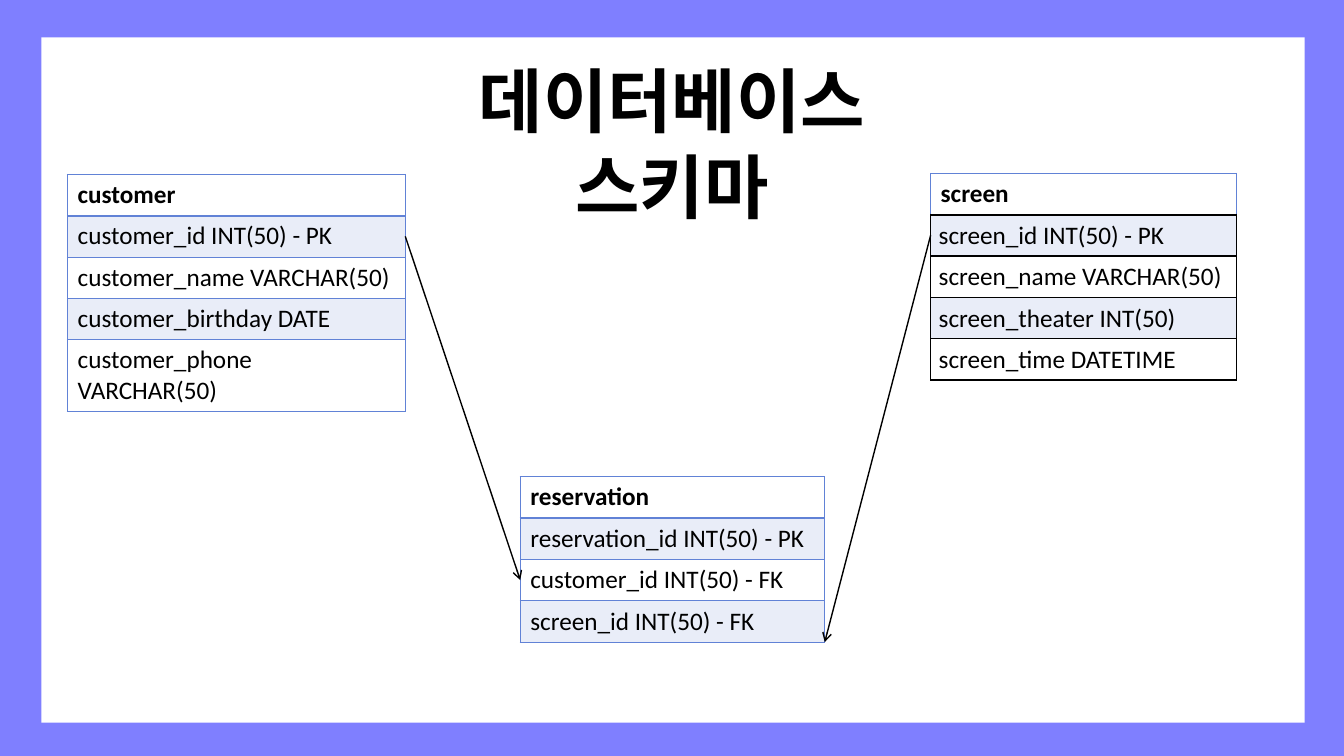
from dataclasses import dataclass

from lxml.etree import SubElement
from pptx import Presentation
from pptx.dml.color import RGBColor
from pptx.enum.shapes import MSO_CONNECTOR, MSO_SHAPE
from pptx.enum.text import MSO_ANCHOR, PP_ALIGN
from pptx.oxml.ns import qn
from pptx.util import Inches, Pt

BLUE = RGBColor(0x00, 0x00, 0xFF)
WHITE = RGBColor(0xFF, 0xFF, 0xFF)
BLACK = RGBColor(0x00, 0x00, 0x00)
RULE_BLUE = RGBColor(0x61, 0x82, 0xD6)
BAND_BLUE = RGBColor(0x94, 0xA5, 0xDF)
TITLE_FONT = "Noto Sans CJK KR"
ROW_HEIGHT = 0.41


@dataclass
class Entity:
    """A database table; row numbers count from its header."""
    name: str
    fields: list[str]
    left: float
    top: float
    width: float
    rule_color: RGBColor = RULE_BLUE
    inner_rule: float = 0.79
    spaced_from: int = 99
    centred: bool = False

    @property
    def right(self) -> float:
        """Right edge in inches."""
        return self.left + self.width

    def row_y(self, rows: float) -> float:
        """Height in inches of a point that many rows below the top."""
        return self.top + rows * ROW_HEIGHT


CUSTOMER = Entity("customer", ["customer_id INT(50) - PK", "customer_name VARCHAR(50)",
                               "customer_birthday DATE", "customer_phone VARCHAR(50)"],
                  0.67, 1.73, 3.35)
SCREEN = Entity("screen", ["screen_id INT(50) - PK", "screen_name VARCHAR(50)",
                           "screen_theater INT(50)", "screen_time DATETIME"],
                9.23, 1.72, 3.03, BLACK, 1, spaced_from=1, centred=True)
RESERVATION = Entity("reservation", ["reservation_id INT(50) - PK", "customer_id INT(50) - FK",
                                     "screen_id INT(50) - FK"],
                     5.16, 4.73, 3.02, spaced_from=3)


def set_alpha(properties, percent: int) -> None:
    """Make the solid fill of a properties element translucent."""
    color = properties.find(f"{qn('a:solidFill')}/{qn('a:srgbClr')}")
    SubElement(color, qn("a:alpha"), val=str(percent * 1000))


def add_panel(group, left: float, top: float, width: float, height: float, color: RGBColor):
    """Add a plain filled rectangle to the backdrop."""
    panel = group.shapes.add_shape(MSO_SHAPE.RECTANGLE, Inches(left), Inches(top),
                                   Inches(width), Inches(height))
    panel.shadow.inherit = False
    panel.fill.solid()
    panel.fill.fore_color.rgb = color
    panel.line.fill.background()
    return panel


def add_borders(properties, color: RGBColor, top: float, bottom: float) -> None:
    """Draw the four cell borders, with 1 pt sides."""
    for side, points in (("L", 1), ("R", 1), ("T", top), ("B", bottom)):
        border = SubElement(properties, qn(f"a:ln{side}"), w=str(Pt(points)))
        fill = SubElement(border, qn("a:solidFill"))
        SubElement(fill, qn("a:srgbClr"), val=str(color))


def add_entity(slide, entity: Entity) -> None:
    """Add one database table with its header and banded fields."""
    labels = [entity.name, *entity.fields]
    table = slide.shapes.add_table(len(labels), 1, Inches(entity.left), Inches(entity.top),
                                   Inches(entity.width), Inches(ROW_HEIGHT * len(labels))).table
    table.first_row = table.horz_banding = False
    for row, label in enumerate(labels):
        table.rows[row].height = Inches(ROW_HEIGHT)
        cell = table.cell(row, 0)
        cell.text = label
        properties = cell._tc.get_or_add_tcPr()
        is_header, is_last = row == 0, row == len(labels) - 1
        add_borders(properties, RULE_BLUE if is_header else entity.rule_color,
                    {0: 1, 1: 1.79}.get(row, entity.inner_rule),
                    1.79 if is_header else 1 if is_last else entity.inner_rule)
        if row % 2:
            cell.fill.solid()
            cell.fill.fore_color.rgb = BAND_BLUE
            set_alpha(properties, 20)
        else:
            cell.fill.background()
        if entity.centred and not is_header:
            cell.vertical_anchor = MSO_ANCHOR.MIDDLE
            cell.margin_left = cell.margin_right = Inches(0.08)
            cell.margin_top = cell.margin_bottom = Inches(0.04)
        paragraph = cell.text_frame.paragraphs[0]
        if row >= entity.spaced_from:
            paragraph.line_spacing = 1.03
        paragraph.font.name = "Calibri"
        paragraph.font.size = Pt(18)
        paragraph.font.bold = is_header
        paragraph.font.color.rgb = BLACK


def add_relation(slide, start: tuple[float, float], end: tuple[float, float]) -> None:
    """Add an arrow from a primary key to its foreign key."""
    arrow = slide.shapes.add_connector(MSO_CONNECTOR.STRAIGHT,
                                       *(Inches(value) for value in (*start, *end)))
    arrow.line.color.rgb = BLACK
    arrow.line.width = Pt(1)
    SubElement(arrow.line._get_or_add_ln(), qn("a:tailEnd"), type="arrow")
    SubElement(arrow._element.spPr, qn("a:effectLst"))


def add_title(slide, text: str) -> None:
    """Add the centred slide title."""
    title = slide.shapes.add_textbox(Inches(3.72), Inches(0.51), Inches(5.89), Inches(0.93))
    title.text_frame.word_wrap = True
    paragraph = title.text_frame.paragraphs[0]
    paragraph.alignment = PP_ALIGN.CENTER
    paragraph.line_spacing = Pt(61)
    run = paragraph.add_run()
    run.text = text
    run.font.name = TITLE_FONT
    run.font.size = Pt(50)
    run.font.bold = True
    run.font.color.rgb = BLACK
    SubElement(run.font._element, qn("a:ea"), typeface=TITLE_FONT)


def main() -> None:
    """Build and save the schema slide."""
    presentation = Presentation()
    presentation.slide_width, presentation.slide_height = Inches(13.33), Inches(7.5)
    slide = presentation.slides.add_slide(presentation.slide_layouts[6])
    backdrop = slide.shapes.add_group_shape()
    frame = add_panel(backdrop, 0, 0, 13.33, 7.5, BLUE)
    set_alpha(frame._element.spPr, 50)
    add_panel(backdrop, 0.41, 0.37, 12.53, 6.8, WHITE)
    for entity in (CUSTOMER, SCREEN, RESERVATION):
        add_entity(slide, entity)
    add_relation(slide, (SCREEN.left, SCREEN.row_y(1.5)),
                 (RESERVATION.right, RESERVATION.row_y(4)))
    add_relation(slide, (CUSTOMER.right, CUSTOMER.row_y(1.5)),
                 (RESERVATION.left, RESERVATION.row_y(2.5)))
    add_title(slide, "데이터베이스 스키마")
    presentation.save("out.pptx")


main()
